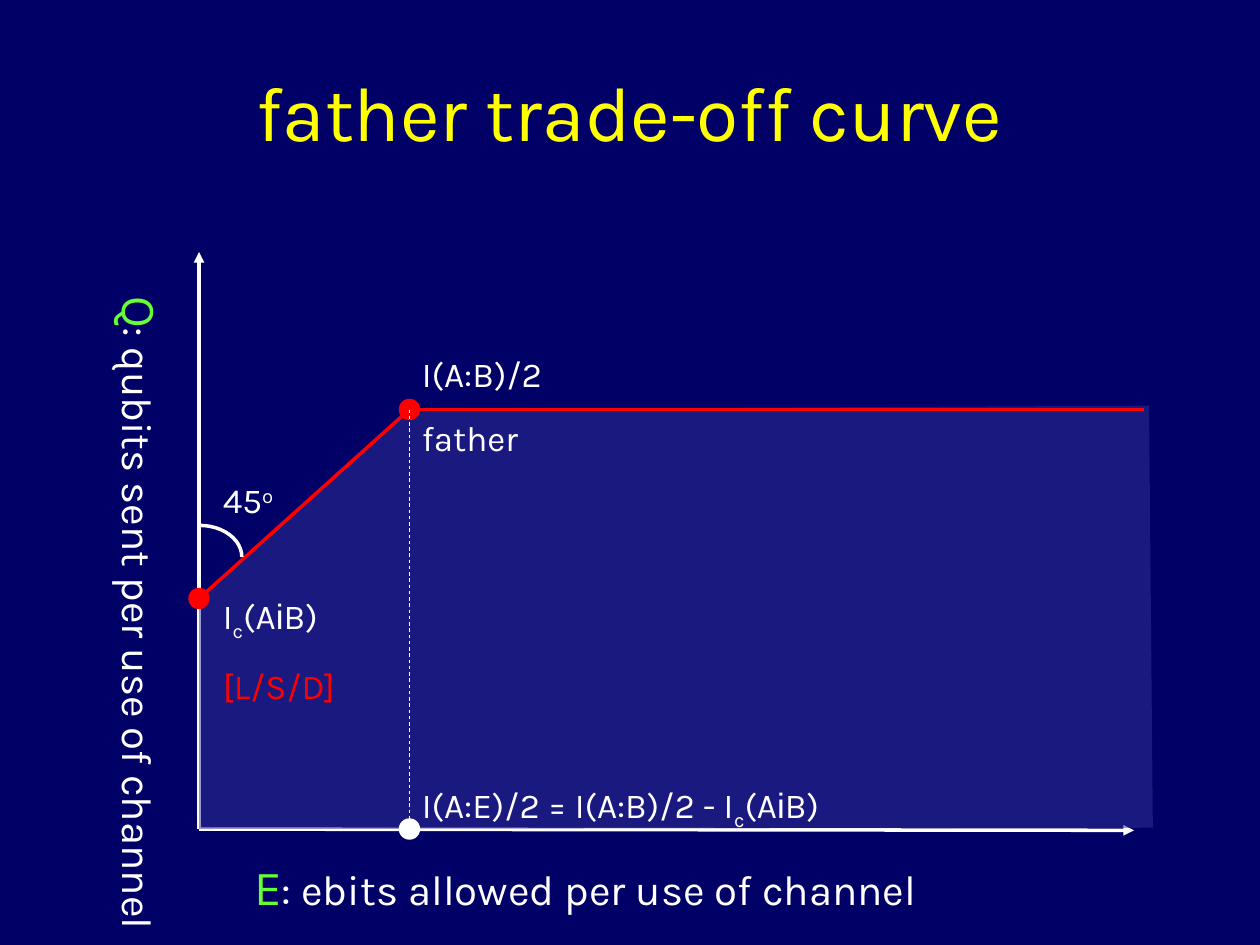
"""Draw the father trade-off curve between ebits and qubits per channel use."""
from dataclasses import dataclass
from typing import Any

from lxml import etree
from pptx import Presentation
from pptx.dml.color import RGBColor
from pptx.enum import dml, shapes, text
from pptx.oxml import ns
from pptx.util import Inches, Pt


@dataclass(frozen=True)
class Theme:
    navy: str = "000066"
    region: str = "333399"
    yellow: str = "FFFF00"
    green: str = "66FF33"
    red: str = "FF0000"
    white: str = "FFFFFF"
    font: str = "Karla"
    symbol_font: str = "Arial"
    title: int = 44
    axis_symbol: int = 28
    axis: int = 24
    label: int = 20
    stroke: float = 2
    guide: float = 0.5
    dot: float = 0.17


THEME = Theme()


@dataclass(frozen=True)
class Span:
    words: str
    size: int = THEME.label
    color: str = THEME.white
    font: str = THEME.font
    baseline: int = 0


@dataclass(frozen=True)
class Label:
    left: float
    top: float
    width: float
    height: float
    paras: tuple[tuple[Span, ...], ...]
    before: float = 12.5
    align: Any = text.PP_ALIGN.LEFT
    anchor: Any = text.MSO_ANCHOR.TOP
    vertical: bool = False


@dataclass(frozen=True)
class Stroke:
    start: tuple[float, float]
    end: tuple[float, float]
    color: str = THEME.white
    width: float = THEME.stroke
    arrow: bool = False
    dashed: bool = False


@dataclass(frozen=True)
class Dot:
    center: tuple[float, float]
    color: str = THEME.red


ORIGIN = (1.58, 6.58)
HASHING = (1.58, 4.75)
FATHER = (3.25, 3.25)
FOOT = (3.25, 6.58)
REGION = (ORIGIN, HASHING, FATHER, (9.12, 3.22), (9.15, 6.57))

COHERENT = (Span("c", baseline=-25000), Span("(A"),
            Span("i", font=THEME.symbol_font), Span("B)"))


def axis_name(symbol: str, meaning: str) -> tuple[tuple[Span, ...], ...]:
    return ((Span(symbol, THEME.axis_symbol, THEME.green),
             Span(": " + meaning, THEME.axis)),)


TITLE = Label(0.75, 0.25, 8.5, 1.25,
              ((Span("father trade-off curve", THEME.title, THEME.yellow),),),
              0, text.PP_ALIGN.CENTER, text.MSO_ANCHOR.MIDDLE)
AXES = (Stroke(ORIGIN, (1.58, 2), arrow=True),
        Stroke(ORIGIN, (9, 6.59), arrow=True))
AXIS_NAMES = (
    Label(0.35, 2.25, 1.06, 5.25,
          axis_name("Q", "qubits sent per use of channel"), 15, vertical=True),
    Label(1.92, 6.75, 6.08, 0.57,
          axis_name("E", "ebits allowed per use of channel"), 15),
)
HASHING_LABEL = Label(1.67, 4.67, 6.08, 0.99,
                      ((Span("I"), *COHERENT),
                       (Span("[L/S/D]", color=THEME.red),)))
CURVE = (Stroke(HASHING, FATHER, THEME.red),
         Stroke(FATHER, (9.08, 3.25), THEME.red))
ANGLE_LABEL = Label(1.67, 3.75, 1.17, 0.44,
                    ((Span("45"), Span("o", baseline=30000)),))
GUIDE = Stroke(FATHER, FOOT, width=THEME.guide, dashed=True)
FOOT_LABEL = Label(3.25, 6.17, 4.92, 0.48,
                   ((Span("I(A:E)/2 = I(A:B)/2 - I"), *COHERENT),))
FATHER_LABEL = Label(3.25, 2.75, 5.58, 0.94,
                     ((Span("I(A:B)/2"),), (Span("father"),)))


def apply(target: Any, values: dict[str, Any]) -> None:
    for name, value in values.items():
        setattr(target, name, value)


def paint(fill: Any, color: str) -> None:
    fill.solid()
    fill.fore_color.rgb = RGBColor.from_string(color)


def draw_label(page: Any, label: Label) -> None:
    box = page.shapes.add_textbox(Inches(label.left), Inches(label.top),
                                  Inches(label.width), Inches(label.height))
    frame = box.text_frame
    across, along = Inches(0.1), Inches(0.05)
    if label.vertical:
        across, along = along, across
        frame._txBody.bodyPr.set("vert", "eaVert")
    apply(frame, {"word_wrap": True, "vertical_anchor": label.anchor,
                  "margin_left": across, "margin_right": across,
                  "margin_top": along, "margin_bottom": along})
    for index, spans in enumerate(label.paras):
        para = frame.add_paragraph() if index else frame.paragraphs[0]
        apply(para, {"alignment": label.align, "space_before": Pt(label.before)})
        for item in spans:
            span = para.add_run()
            span.text = item.words
            apply(span.font, {"size": Pt(item.size), "name": item.font})
            span.font.color.rgb = RGBColor.from_string(item.color)
            if item.baseline:
                span._r.get_or_add_rPr().set("baseline", str(item.baseline))


def draw_stroke(page: Any, stroke: Stroke) -> None:
    points = [Inches(value) for value in (*stroke.start, *stroke.end)]
    line = page.shapes.add_connector(shapes.MSO_CONNECTOR.STRAIGHT, *points)
    line.line.width = Pt(stroke.width)
    paint(line.line.fill, stroke.color)
    if stroke.dashed:
        line.line.dash_style = dml.MSO_LINE.DASH
    properties = line._element.spPr
    if stroke.arrow:
        etree.SubElement(properties.find(ns.qn("a:ln")), ns.qn("a:tailEnd"), type="triangle")
    etree.SubElement(properties, ns.qn("a:effectLst"))


def draw_dot(page: Any, dot: Dot) -> None:
    left, top = (Inches(value - THEME.dot / 2) for value in dot.center)
    size = Inches(THEME.dot)
    disc = page.shapes.add_shape(shapes.MSO_SHAPE.OVAL, left, top, size, size)
    disc.shadow.inherit = False
    disc.line.fill.background()
    paint(disc.fill, dot.color)


def draw_region(page: Any) -> None:
    first, *rest = [(Inches(x), Inches(y)) for x, y in REGION]
    builder = page.shapes.build_freeform(*first)
    builder.add_line_segments(rest, close=True)
    region = builder.convert_to_shape()
    region.shadow.inherit = False
    region.line.fill.background()
    paint(region.fill, THEME.region)
    color = region._element.spPr.find(".//" + ns.qn("a:srgbClr"))
    etree.SubElement(color, ns.qn("a:alpha"), val="50000")


def draw_angle(page: Any) -> None:
    angle = page.shapes.add_shape(shapes.MSO_SHAPE.ARC, Inches(1.25), Inches(4.17),
                                  Inches(0.67), Inches(0.5))
    angle.shadow.inherit = False
    angle.fill.background()
    angle.line.width = Pt(THEME.stroke)
    paint(angle.line.fill, THEME.white)


def main() -> None:
    deck = Presentation()
    apply(deck, {"slide_width": Inches(10), "slide_height": Inches(7.5)})
    page = deck.slides.add_slide(deck.slide_layouts[6])
    paint(page.background.fill, THEME.navy)
    painters = {Label: draw_label, Stroke: draw_stroke, Dot: draw_dot}

    def draw(*items: Label | Stroke | Dot) -> None:
        for item in items:
            painters[type(item)](page, item)

    draw(TITLE, *AXES, *AXIS_NAMES)
    draw_region(page)
    draw(Dot(HASHING), HASHING_LABEL, *CURVE, ANGLE_LABEL)
    draw_angle(page)
    draw(Dot(FATHER), GUIDE, FOOT_LABEL, Dot(FOOT, THEME.white), FATHER_LABEL)
    deck.save("out.pptx")


if __name__ == "__main__":
    main()
